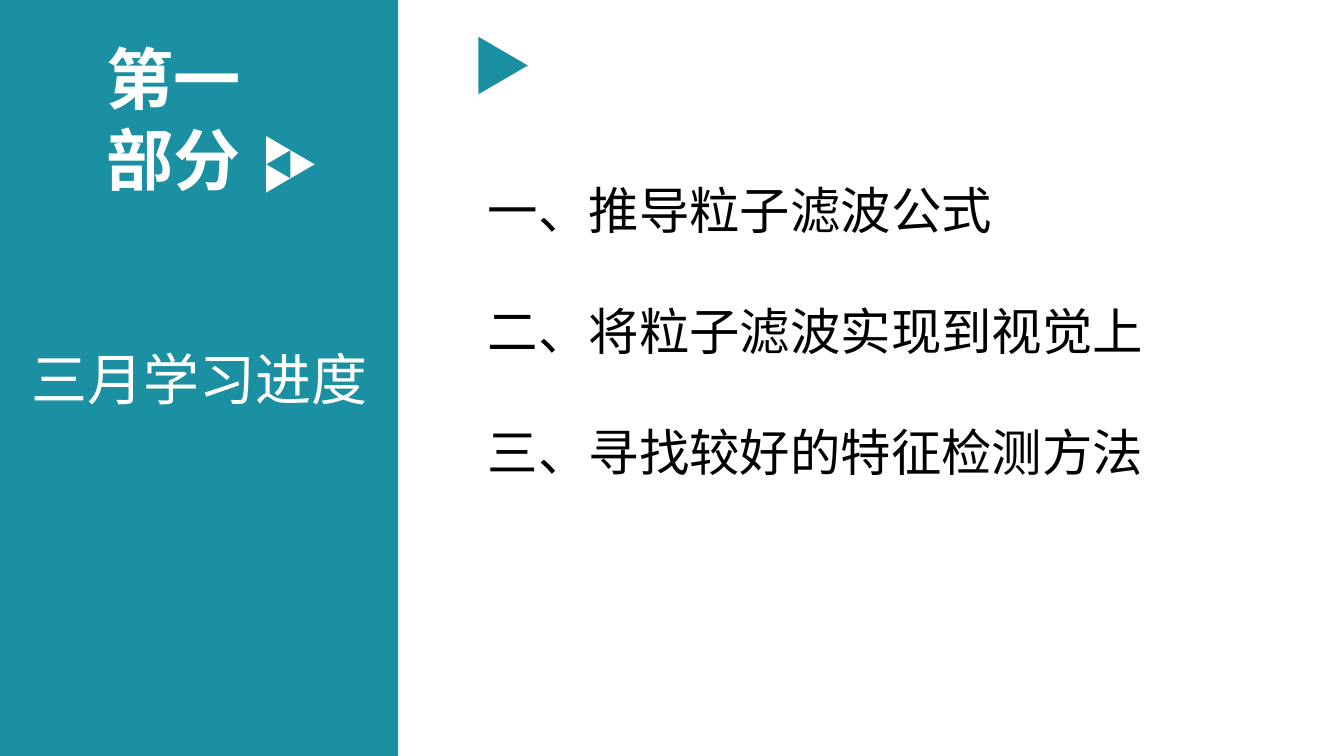
from dataclasses import dataclass

import pptx
import pptx.dml.color
import pptx.enum.shapes
import pptx.enum.text
import pptx.oxml.ns
import pptx.util
from lxml import etree

Inches = pptx.util.Inches
Pt = pptx.util.Pt
RGB = pptx.dml.color.RGBColor
Shape = pptx.enum.shapes.MSO_SHAPE
Align = pptx.enum.text.PP_ALIGN
Anchor = pptx.enum.text.MSO_ANCHOR

TEAL = RGB(0x1B, 0x90, 0xA2)
WHITE = RGB(0xFF, 0xFF, 0xFF)
BLACK = RGB(0, 0, 0)
FONT = "Noto Sans CJK SC"


@dataclass(frozen=True)
class Arrow:
    """Triangle pointing right, placed by its centre; side is its upright edge."""
    x: float
    y: float
    side: float
    depth: float
    color: RGB


@dataclass(frozen=True)
class Label:
    left: float
    top: float
    width: float
    height: float
    lines: tuple[str, ...]
    size: int
    color: RGB
    bold: bool = False
    gap: float = 0


ARROWS = [
    Arrow(2.76, 1.49, 0.28, 0.24, WHITE),
    Arrow(2.76, 1.77, 0.28, 0.24, WHITE),
    Arrow(3.0, 1.63, 0.28, 0.24, WHITE),
    Arrow(4.99, 0.65, 0.57, 0.49, TEAL),
]
LABELS = [
    Label(0.96, 0.32, 1.74, 1.72, ("第一部分",), 48, WHITE, bold=True),
    Label(4.74, 1.73, 6.82, 3.13,
          ("一、推导粒子滤波公式", "二、将粒子滤波实现到视觉上", "三、寻找较好的特征检测方法"),
          36, BLACK, gap=43),
]


def style(para, size: int, color: RGB, bold: bool = False) -> None:
    font = para.font
    font.size = Pt(size)
    font.bold = bold
    font.color.rgb = color
    font.name = FONT
    # East Asian text takes its typeface from a:ea
    for latin in para._p.xpath("./a:pPr/a:defRPr/a:latin"):
        east = etree.Element(pptx.oxml.ns.qn("a:ea"), typeface=FONT)
        latin.addnext(east)


def paint(shape, color: RGB) -> None:
    shape.shadow.inherit = False
    shape.fill.solid()
    shape.fill.fore_color.rgb = color
    shape.line.fill.background()


def add_panel(slide) -> None:
    panel = slide.shapes.add_shape(
        Shape.RECTANGLE, 0, 0, Inches(3.95), Inches(7.5))
    paint(panel, TEAL)
    panel.text_frame.vertical_anchor = Anchor.MIDDLE
    para = panel.text_frame.paragraphs[0]
    para.text = "三月学习进度"
    para.alignment = Align.CENTER
    style(para, 40, WHITE)


def add_arrow(slide, arrow: Arrow) -> None:
    shape = slide.shapes.add_shape(
        Shape.ISOSCELES_TRIANGLE,
        Inches(arrow.x - arrow.side / 2), Inches(arrow.y - arrow.depth / 2),
        Inches(arrow.side), Inches(arrow.depth))
    shape.rotation = 90
    paint(shape, arrow.color)


def add_label(slide, label: Label) -> None:
    box = slide.shapes.add_textbox(
        Inches(label.left), Inches(label.top),
        Inches(label.width), Inches(label.height))
    frame = box.text_frame
    frame.word_wrap = True
    for i, line in enumerate(label.lines):
        para = frame.add_paragraph() if i else frame.paragraphs[0]
        para.text = line
        if i:
            para.space_before = Pt(label.gap)
        style(para, label.size, label.color, label.bold)


def main() -> None:
    deck = pptx.Presentation()
    deck.slide_width = Inches(13.33)
    deck.slide_height = Inches(7.5)
    slide = deck.slides.add_slide(deck.slide_layouts[6])
    add_panel(slide)
    for arrow in ARROWS:
        add_arrow(slide, arrow)
    for label in LABELS:
        add_label(slide, label)
    deck.save("out.pptx")


if __name__ == "__main__":
    main()
